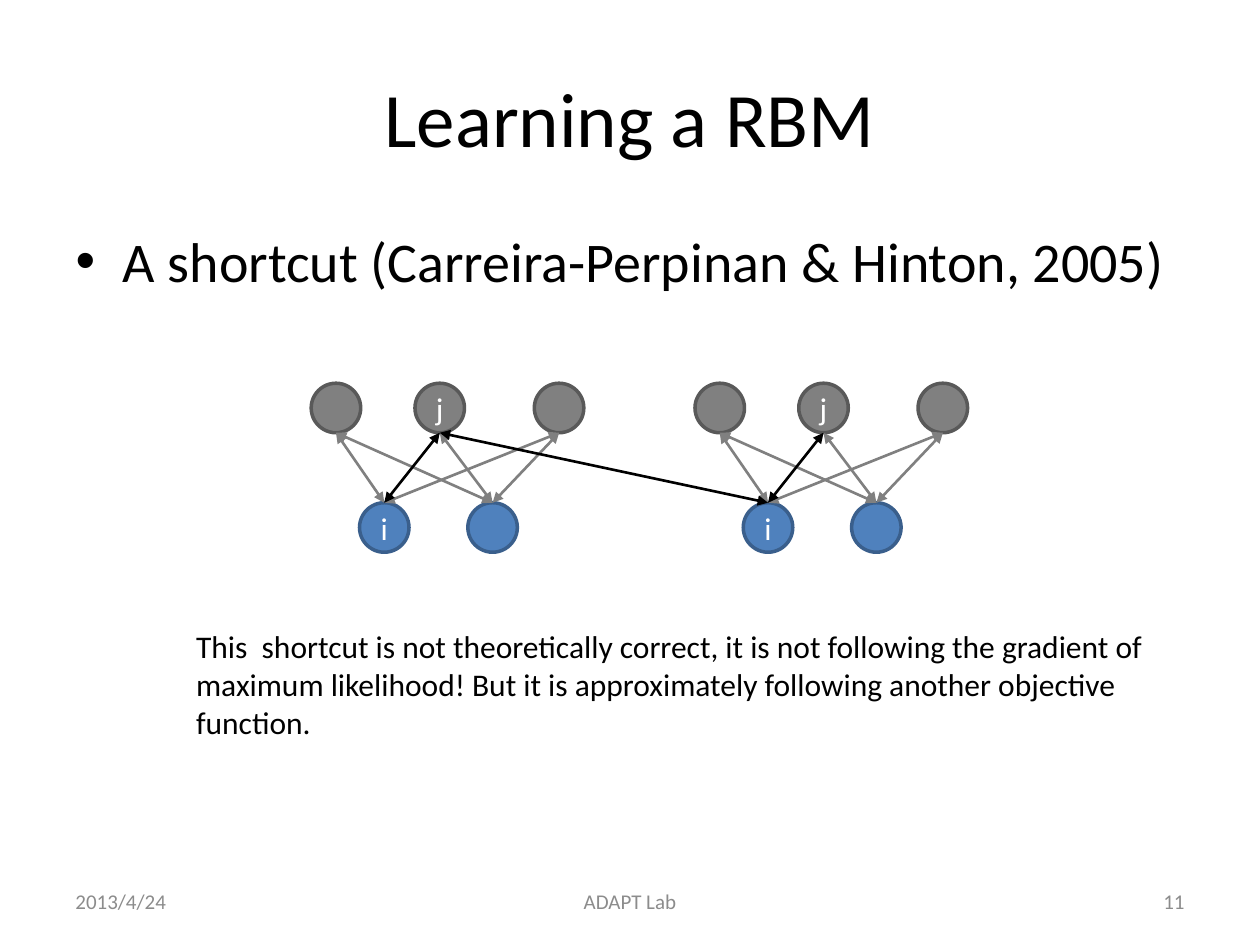
from lxml import etree
from pptx import Presentation
from pptx.dml.color import RGBColor
from pptx.enum import shapes, text
from pptx.oxml import ns
from pptx.util import Pt

FONT = "Calibri"
LEFT, MID, RIGHT = text.PP_ALIGN.LEFT, text.PP_ALIGN.CENTER, text.PP_ALIGN.RIGHT
TITLE = "Learning a RBM"
POINT = "A shortcut (Carreira-Perpinan & Hinton, 2005)"
NOTE = ("This  shortcut is not theoretically correct, it is not following the "
        "gradient of maximum likelihood! But it is approximately following "
        "another objective function.")
# words, left, width, alignment
FOOT = [("ADAPT Lab", 246, 228, MID), ("11", 516, 168, RIGHT),
        ("2013/4/24", 36, 168, LEFT)]

# Each layer: top, fill, outline, then (centre x, label) per unit
HIDDEN = (219, "808080", "595959", [(192, ""), (251.3, "j"), (319.5, "")])
SEEN = (287.3, "4F81BD", "3A5F8C", [(219.6, "i"), (281.5, "")])
# seen unit, hidden unit, colour
EDGES = [(0, 0, "808080"), (1, 1, "808080"), (1, 2, "808080"),
         (1, 0, "808080"), (0, 2, "808080"), (0, 1, "000000")]
SIZE = 28.3
STEP = 219.3


def color(code):
    return RGBColor.from_string(code)


def write(frame, words, size, code, align):
    para = frame.paragraphs[0]
    para.alignment = align
    para.space_before = Pt(0)
    run = para.add_run()
    run.text = words
    run.font.name = FONT
    run.font.size = Pt(size)
    run.font.color.rgb = color(code)


def place(shape, *box):
    shape.left, shape.top, shape.width, shape.height = map(Pt, box)


def label(words, box, size, code, align, anchor):
    frame = slide.shapes.add_textbox(*map(Pt, box)).text_frame
    frame.word_wrap = True
    frame.vertical_anchor = anchor
    write(frame, words, size, code, align)
    return frame


def layer(tree, shift, top, fill, edge, units):
    nodes = []
    for mid, name in units:
        node = tree.add_shape(shapes.MSO_SHAPE.OVAL, Pt(mid + shift - SIZE / 2),
                              Pt(top), Pt(SIZE), Pt(SIZE))
        node.shadow.inherit = False
        node.fill.solid()
        node.fill.fore_color.rgb = color(fill)
        node.line.color.rgb = color(edge)
        node.line.width = Pt(2)
        if name:
            frame = node.text_frame
            frame.vertical_anchor = text.MSO_ANCHOR.MIDDLE
            write(frame, name, 18, "FFFFFF", MID)
        nodes.append(node)
    return nodes


def link(tree, low, high, code):
    """Draw a two-headed arrow from the top of low to the bottom of high."""
    line = tree.add_connector(
        shapes.MSO_CONNECTOR.STRAIGHT, low.left + low.width // 2, low.top,
        high.left + high.width // 2, high.top + high.height)
    line.line.color.rgb = color(code)
    line.line.width = Pt(1.5)
    for tag in ("a:headEnd", "a:tailEnd"):
        etree.SubElement(line.line._get_or_add_ln(), ns.qn(tag), type="triangle")
    etree.SubElement(line._element.spPr, ns.qn("a:effectLst"))


def net(shift):
    tree = slide.shapes.add_group_shape().shapes
    high = layer(tree, shift, *HIDDEN)
    low = layer(tree, shift, *SEEN)
    for start, end, code in EDGES:
        link(tree, low[start], high[end], code)
    return low, high


prs = Presentation()
prs.slide_width, prs.slide_height = Pt(720), Pt(540)
slide = prs.slides.add_slide(prs.slide_layouts[1])

title, body = slide.placeholders
place(title, 36, 21.6, 648, 90)
title.text_frame.vertical_anchor = text.MSO_ANCHOR.MIDDLE
write(title.text_frame, TITLE, 44, "000000", MID)
place(body, 36, 126, 648, 356.4)
write(body.text_frame, POINT, 32, "000000", LEFT)

first, second = [net(k * STEP) for k in range(2)]
link(slide.shapes, second[0][0], first[1][1], "000000")

note = label(NOTE, (105, 355, 556, 72.7), 18, "000000", LEFT, text.MSO_ANCHOR.TOP)
note.auto_size = text.MSO_AUTO_SIZE.SHAPE_TO_FIT_TEXT
for words, left, width, align in FOOT:
    label(words, (left, 500.5, width, 28.75), 12, "8C8C8C", align,
          text.MSO_ANCHOR.MIDDLE)

prs.save("out.pptx")
